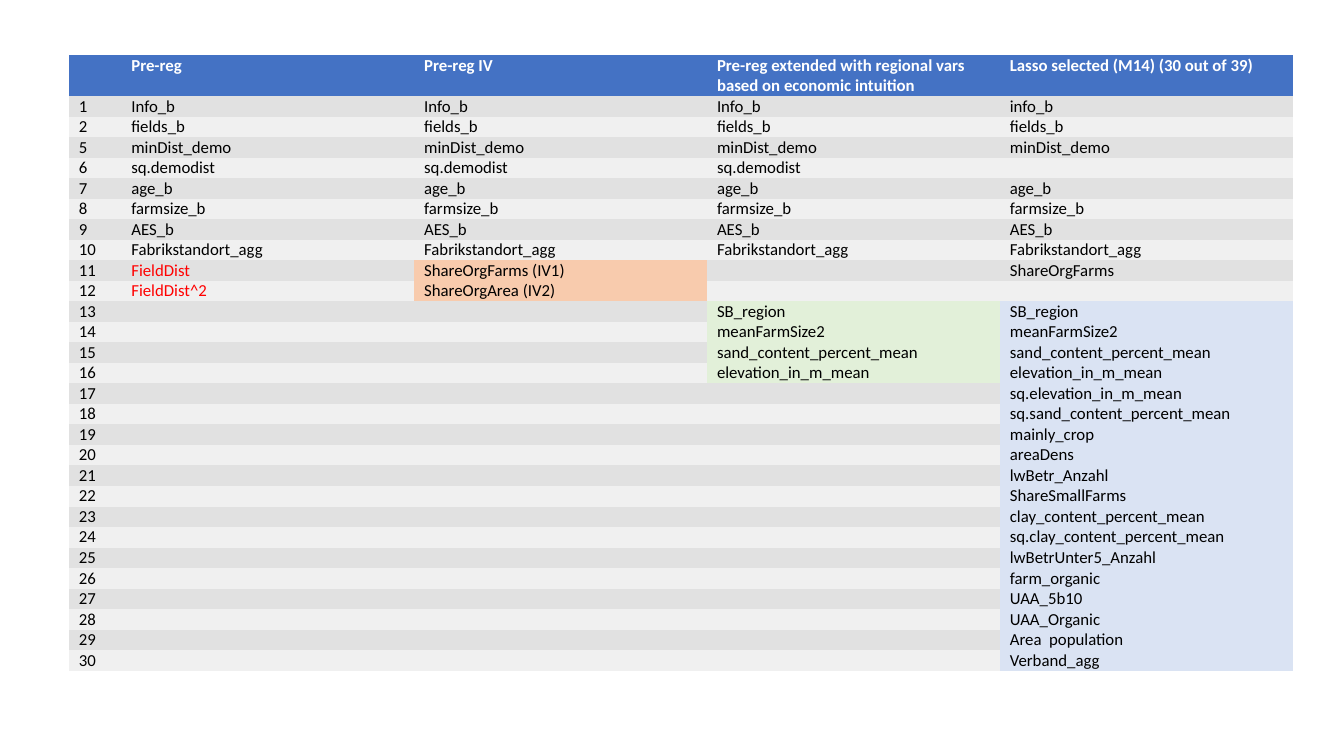
from dataclasses import dataclass

from lxml import etree
from pptx import Presentation
from pptx import util as u
from pptx.dml.color import RGBColor
from pptx.enum import text
from pptx.oxml import ns

FONT, SIZE = "Calibri", u.Pt(12)
ROW = u.Cm(0.5)
BLUE, WHITE, BLACK, RED = "4472C4", "FFFFFF", "000000", "FF0000"
GREYS = ("E1E1E1", "F0F0F0")
PLAIN = "{2D5ABB26-0587-4C30-8999-92F81FD0307C}"


@dataclass(frozen=True)
class Column:
    head: str
    width: float
    names: tuple[str, ...]
    mark: range = range(0)
    tint: str = ""
    ink: str = BLACK


BASE = ("Info_b", "fields_b", "minDist_demo", "sq.demodist",
        "age_b", "farmsize_b", "AES_b", "Fabrikstandort_agg")
AREA = ("SB_region", "meanFarmSize2", "sand_content_percent_mean",
        "elevation_in_m_mean")
LASSO = ("info_b", *BASE[1:3], "", *BASE[4:], "ShareOrgFarms", "", *AREA,
         "sq.elevation_in_m_mean", "sq.sand_content_percent_mean",
         "mainly_crop", "areaDens", "lwBetr_Anzahl", "ShareSmallFarms",
         "clay_content_percent_mean", "sq.clay_content_percent_mean",
         "lwBetrUnter5_Anzahl", "farm_organic", "UAA_5b10", "UAA_Organic",
         "Area  population", "Verband_agg")
IDS = tuple(str(n) for n in (1, 2, *range(5, 31)))
WIDE = 7.38

COLUMNS = (
    Column("", 1.32, IDS),
    Column("Pre-reg", WIDE, (*BASE, "FieldDist", "FieldDist^2"),
           range(8, 10), ink=RED),
    Column("Pre-reg IV", WIDE,
           (*BASE, "ShareOrgFarms (IV1)", "ShareOrgArea (IV2)"),
           range(8, 10), "F8CBAD"),
    Column("Pre-reg extended with regional vars based on economic intuition",
           WIDE, (*BASE, "", "", *AREA), range(10, 14), "E2F0D9"),
    Column("Lasso selected (M14) (30 out of 39)", WIDE, LASSO,
           range(10, 28), "DAE3F3"),
)


def color(code: str) -> RGBColor:
    return RGBColor.from_string(code)


def write(cell, words: str, fill: str, ink: str, bold: bool = False) -> None:
    cell.fill.solid()
    cell.fill.fore_color.rgb = color(fill)
    cell.margin_left = cell.margin_right = u.Cm(0.25)
    cell.margin_top = cell.margin_bottom = 0
    cell.vertical_anchor = text.MSO_ANCHOR.TOP
    para = cell.text_frame.paragraphs[0]
    if not words:
        end = etree.SubElement(para._p, ns.qn("a:endParaRPr"))
        end.set("sz", str(int(SIZE.pt * 100)))
        etree.SubElement(end, ns.qn("a:latin")).set("typeface", FONT)
        return
    run = para.add_run()
    run.text = words
    run.font.name, run.font.size, run.font.bold = FONT, SIZE, bold
    run.font.color.rgb = color(ink)


def fill_column(table, place: int, col: Column) -> None:
    table.columns[place].width = u.Cm(col.width)
    write(table.cell(0, place), col.head, BLUE, WHITE, True)
    for row in range(len(IDS)):
        words = col.names[row] if row < len(col.names) else ""
        grey = GREYS[row % 2]
        marked = row in col.mark
        write(table.cell(row + 1, place), words,
              col.tint or grey if marked else grey,
              col.ink if marked else BLACK)


def main() -> None:
    deck = Presentation()
    deck.slide_width, deck.slide_height = u.Cm(33.87), u.Cm(19.05)
    slide = deck.slides.add_slide(deck.slide_layouts[6])
    count = len(IDS) + 1
    frame = slide.shapes.add_table(
        count, len(COLUMNS), u.Cm(1.74), u.Cm(1.39),
        u.Cm(sum(col.width for col in COLUMNS)), ROW * (count + 1))
    table = frame.table
    table.horz_banding = False
    table.first_row = False
    table._tbl.tblPr.find(ns.qn("a:tableStyleId")).text = PLAIN
    for row in table.rows:
        row.height = ROW
    table.rows[0].height = ROW * 2
    for place, col in enumerate(COLUMNS):
        fill_column(table, place, col)
    deck.save("out.pptx")


if __name__ == "__main__":
    main()
